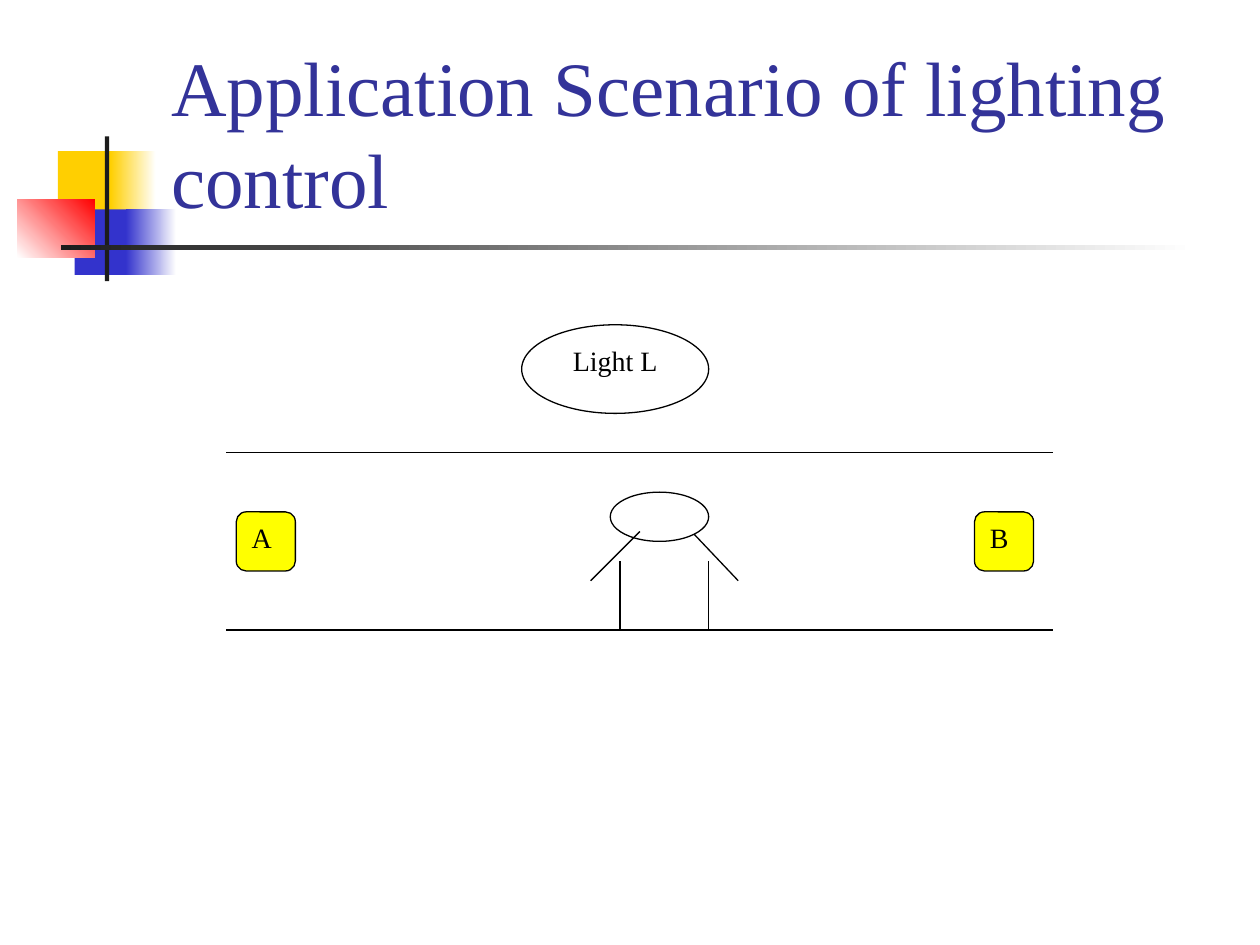
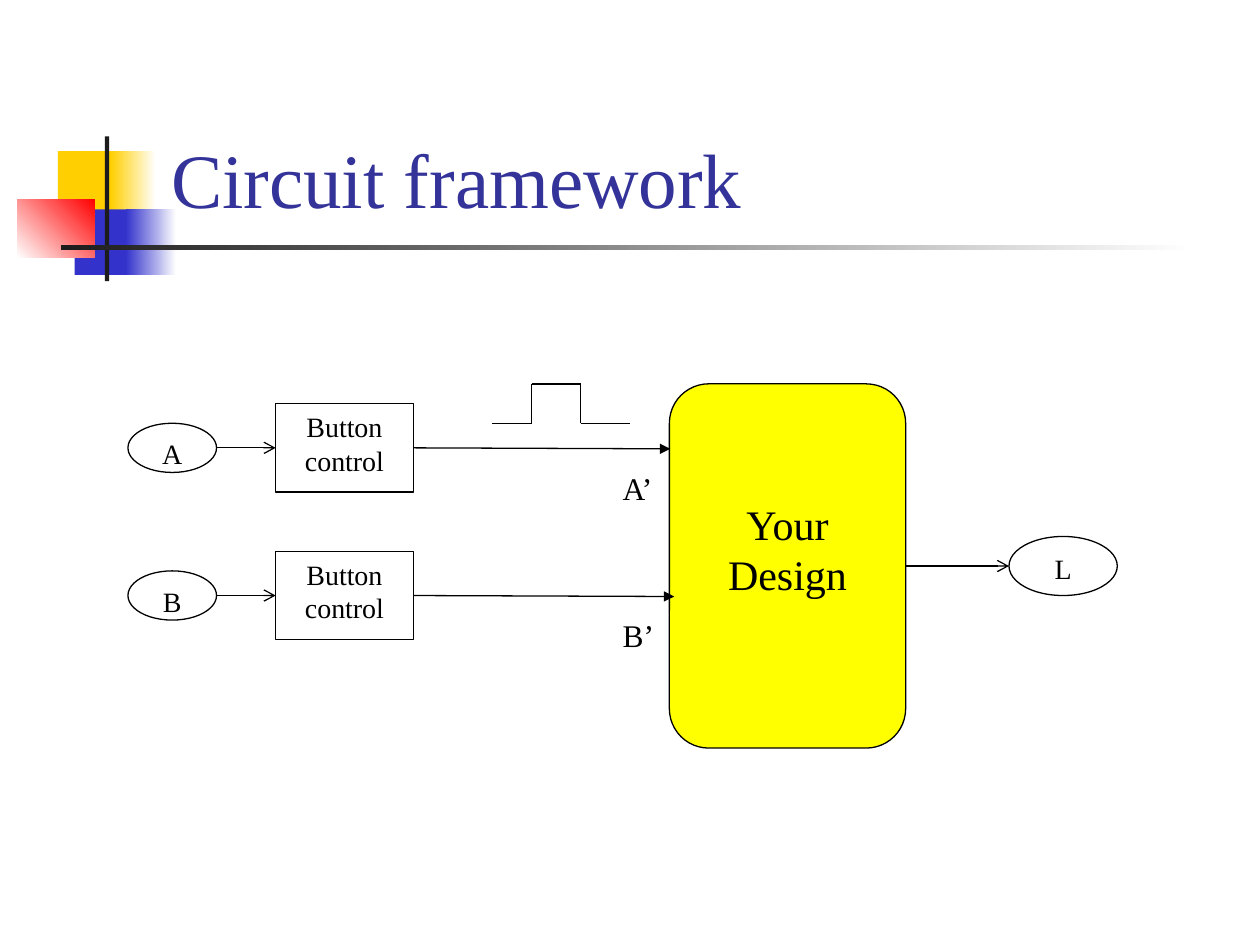
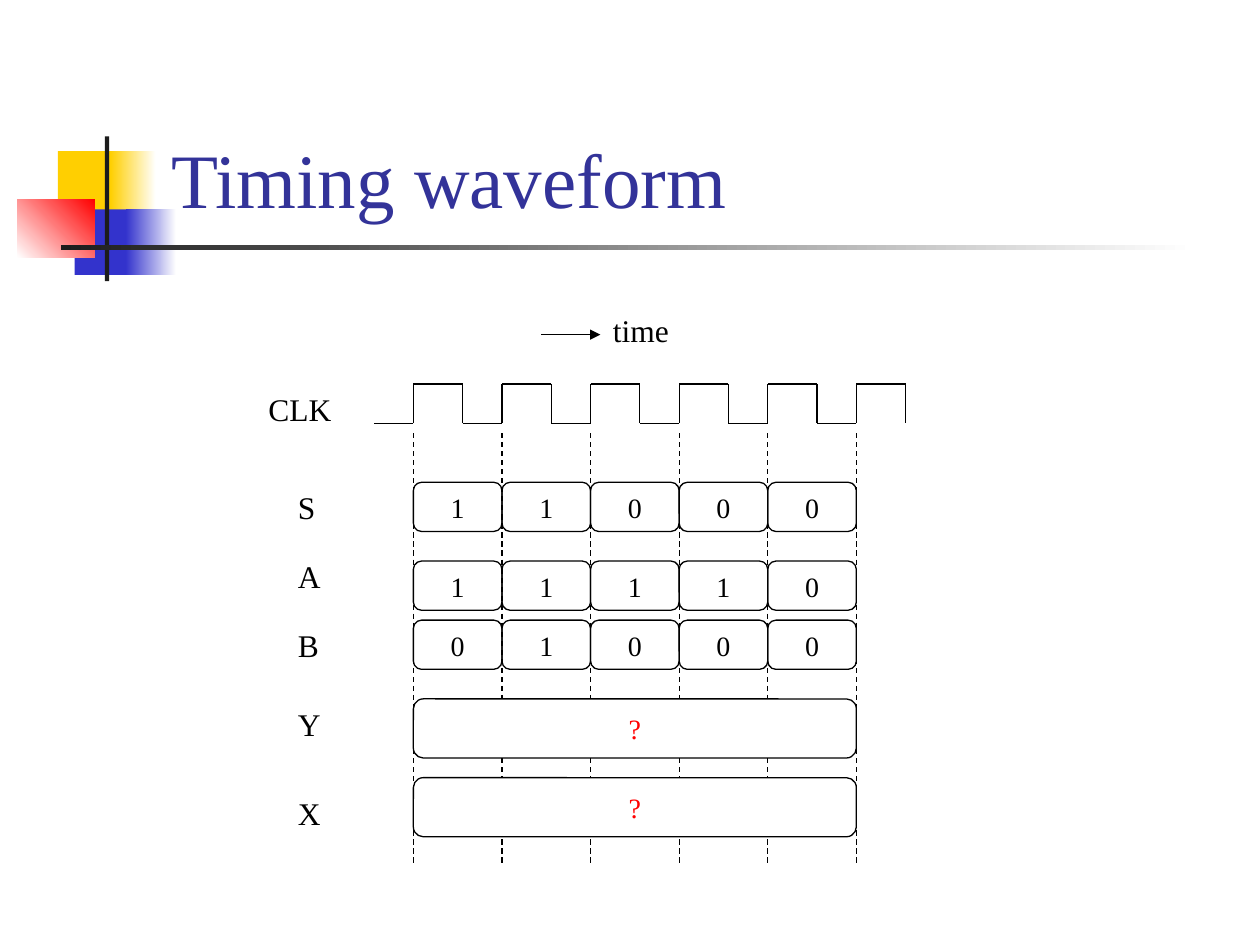
from dataclasses import dataclass
from itertools import pairwise
from typing import Optional

from lxml.etree import SubElement
from pptx import Presentation
from pptx.dml.color import RGBColor
from pptx.enum.dml import MSO_LINE
from pptx.enum.shapes import MSO_CONNECTOR, MSO_SHAPE as Preset
from pptx.enum.text import MSO_ANCHOR as Anchor, MSO_AUTO_SIZE as AutoSize, PP_ALIGN as Align
from pptx.oxml.ns import qn
from pptx.slide import Slide
from pptx.util import Pt

BLACK = RGBColor(0x00, 0x00, 0x00)
WHITE = RGBColor(0xFF, 0xFF, 0xFF)
RED = RGBColor(0xFF, 0x00, 0x00)
YELLOW = RGBColor(0xFF, 0xFF, 0x00)
GOLD = RGBColor(0xFF, 0xCF, 0x01)
BLUE = RGBColor(0x33, 0x33, 0xCC)
CHARCOAL = RGBColor(0x1C, 0x1C, 0x1C)
TITLE_BLUE = RGBColor(0x33, 0x33, 0x99)
FONT = "Times New Roman"

Point = tuple[float, float]


def grid(steps: float) -> Pt:
    return Pt(steps * 45 / 8)


@dataclass(frozen=True)
class BandPart:
    left: float
    top: float
    width: float
    height: float
    start: RGBColor
    end: Optional[RGBColor] = None
    angle: float = 0


BAND = (
    BandPart(33.1, 86.4, 34.6, 37.4, GOLD),
    BandPart(63.2, 86.4, 25.9, 37.4, GOLD, WHITE),
    BandPart(42.6, 119.7, 33.1, 37.4, BLUE),
    BandPart(72, 119.7, 28.8, 37.4, BLUE, WHITE),
    BandPart(9.9, 113.8, 44.3, 33.4, WHITE, RED, 45),
    BandPart(59.9, 77.9, 2.5, 82.8, CHARCOAL),
    BandPart(34.8, 140.2, 648, 2.5, CHARCOAL, WHITE),
)


@dataclass(frozen=True)
class Node:
    preset: Preset
    left: float
    top: float
    width: float
    height: float
    text: str = ""
    fill: Optional[RGBColor] = None
    color: RGBColor = BLACK
    size: float = 16
    align: Align = Align.CENTER
    anchor: Anchor = Anchor.TOP
    margin_top: float = 3.6


@dataclass(frozen=True)
class Label:
    text: str
    left: float
    top: float
    width: float


@dataclass(frozen=True)
class SignalRow:
    name: str
    label_top: float
    label_width: float
    top: float
    bits: str


def write(frame, text: str, size: float, color: RGBColor, align: Align = Align.LEFT) -> None:
    frame.text = text
    for paragraph in frame.paragraphs:
        paragraph.alignment = align
        for run in paragraph.runs:
            run.font.name = FONT
            run.font.size = Pt(size)
            run.font.color.rgb = color


def draw_band(slide: Slide) -> None:
    for part in BAND:
        block = slide.shapes.add_shape(
            Preset.RECTANGLE, Pt(part.left), Pt(part.top), Pt(part.width), Pt(part.height))
        block.shadow.inherit = False
        block.line.fill.background()
        if part.end is None:
            block.fill.solid()
            block.fill.fore_color.rgb = part.start
        else:
            block.fill.gradient()
            block.fill.gradient_angle = part.angle
            for stop, color in zip(block.fill.gradient_stops, (part.start, part.end)):
                stop.color.rgb = color


def draw_title(slide: Slide, text: str) -> None:
    frame = slide.shapes.add_textbox(Pt(90.7), Pt(16.5), Pt(613.5), Pt(115.2)).text_frame
    frame.word_wrap = True
    frame.vertical_anchor = Anchor.BOTTOM
    write(frame, text, 44, TITLE_BLUE)


def draw_node(slide: Slide, node: Node) -> None:
    shape = slide.shapes.add_shape(
        node.preset, grid(node.left), grid(node.top), grid(node.width), grid(node.height))
    shape.shadow.inherit = False
    shape.line.color.rgb = BLACK
    shape.line.width = Pt(0.75)
    if node.fill is None:
        shape.fill.background()
    else:
        shape.fill.solid()
        shape.fill.fore_color.rgb = node.fill
    if node.text:
        frame = shape.text_frame
        frame.vertical_anchor = node.anchor
        frame.margin_top = Pt(node.margin_top)
        write(frame, node.text, node.size, node.color, node.align)


def draw_label(slide: Slide, label: Label) -> None:
    frame = slide.shapes.add_textbox(
        grid(label.left), grid(label.top), Pt(label.width), Pt(28.8)).text_frame
    frame.word_wrap = False
    frame.auto_size = AutoSize.SHAPE_TO_FIT_TEXT
    write(frame, label.text, 18, BLACK)


def draw_line(slide: Slide, start: Point, end: Point, head: str = "", dashed: bool = False) -> None:
    line = slide.shapes.add_connector(
        MSO_CONNECTOR.STRAIGHT, grid(start[0]), grid(start[1]), grid(end[0]), grid(end[1]))
    line.line.color.rgb = BLACK
    line.line.width = Pt(0.75)
    if dashed:
        line.line.dash_style = MSO_LINE.DASH
    properties = line._element.spPr
    if head:
        SubElement(properties.find(qn("a:ln")), qn("a:tailEnd"), type=head)
    SubElement(properties, qn("a:effectLst"))


def draw_wave(slide: Slide, corners: list[Point]) -> None:
    for start, end in pairwise(corners):
        draw_line(slide, start, end)


def pulse(left: float) -> list[Point]:
    return [(left, 43), (left, 39), (left + 5, 39), (left + 5, 43)]


def draw_scenario(slide: Slide) -> None:
    for wall in (46, 64):
        draw_line(slide, (23, wall), (107, wall))
    draw_node(slide, Node(Preset.OVAL, 62, 50, 10, 5))
    limbs = (
        ((65, 54), (60, 59)), ((70.5, 54.25), (75, 59)),
        ((63, 57), (63, 64)), ((72, 57), (72, 64)),
    )
    for start, end in limbs:
        draw_line(slide, start, end)
    for name, left in (("A", 24), ("B", 99)):
        draw_node(slide, Node(
            Preset.ROUNDED_RECTANGLE, left, 52, 6, 6, name, YELLOW, align=Align.LEFT))
    draw_node(slide, Node(Preset.OVAL, 53, 33, 19, 9, "Light L"))


def draw_framework(slide: Slide) -> None:
    draw_node(slide, Node(
        Preset.ROUNDED_RECTANGLE, 68, 39, 24, 37, "Your\nDesign", YELLOW, size=24, margin_top=58.8))
    for name, top, width, tip in (("A", 41, 31.7, 68.1), ("B", 56, 32.4, 68.5)):
        middle = top + 4.5
        draw_node(slide, Node(Preset.RECTANGLE, 28, top, 14, 9, "Button\ncontrol"))
        draw_node(slide, Node(Preset.OVAL, 13, top + 2, 9, 5, name))
        draw_line(slide, (22, middle), (28, middle), "arrow")
        draw_line(slide, (42, middle), (tip, middle + 0.1), "triangle")
        draw_label(slide, Label(f"{name}’", 62, top + 6, width))
    draw_wave(slide, [(50, 43), *pulse(54), (64, 43)])
    draw_node(slide, Node(Preset.OVAL, 102.5, 54.5, 11, 6, "L"))
    draw_line(slide, (92, 57.5), (102.5, 57.5), "arrow")


SIGNALS = (
    SignalRow("S", 49, 24.5, 49, "11000"),
    SignalRow("A", 56, 27.4, 57, "11110"),
    SignalRow("B", 63, 26.6, 63, "01000"),
    SignalRow("Y", 71, 27.4, 71, "?"),
    SignalRow("X", 80, 27.4, 79, "?"),
)
PERIOD = 9
EDGES = [42 + PERIOD * tick for tick in range(6)]


def draw_timing(slide: Slide) -> None:
    draw_label(slide, Label("CLK", 26, 39, 51.1))
    draw_wave(slide, [(38, 43)] + [corner for edge in EDGES for corner in pulse(edge)])
    for edge in EDGES:
        draw_line(slide, (edge, 44), (edge, 88), dashed=True)
    for signal in SIGNALS:
        draw_label(slide, Label(signal.name, 29, signal.label_top, signal.label_width))
        if signal.bits == "?":
            draw_node(slide, Node(
                Preset.ROUNDED_RECTANGLE, EDGES[0], signal.top, EDGES[-1] - EDGES[0], 6,
                signal.bits, WHITE, RED, anchor=Anchor.MIDDLE))
        else:
            for edge, bit in zip(EDGES, signal.bits):
                draw_node(slide, Node(
                    Preset.ROUNDED_RECTANGLE, edge, signal.top, PERIOD, 5, bit))
    draw_line(slide, (55, 34), (61, 34), "triangle")
    draw_label(slide, Label("time", 61, 31, 46.8))


PAGES = (
    ("Application Scenario of lighting control", draw_scenario),
    ("Circuit framework", draw_framework),
    ("Timing waveform", draw_timing),
)

deck = Presentation()
deck.slide_width, deck.slide_height = Pt(720), Pt(540)
for heading, draw_content in PAGES:
    page = deck.slides.add_slide(deck.slide_layouts[6])
    draw_band(page)
    draw_title(page, heading)
    draw_content(page)
deck.save("out.pptx")
